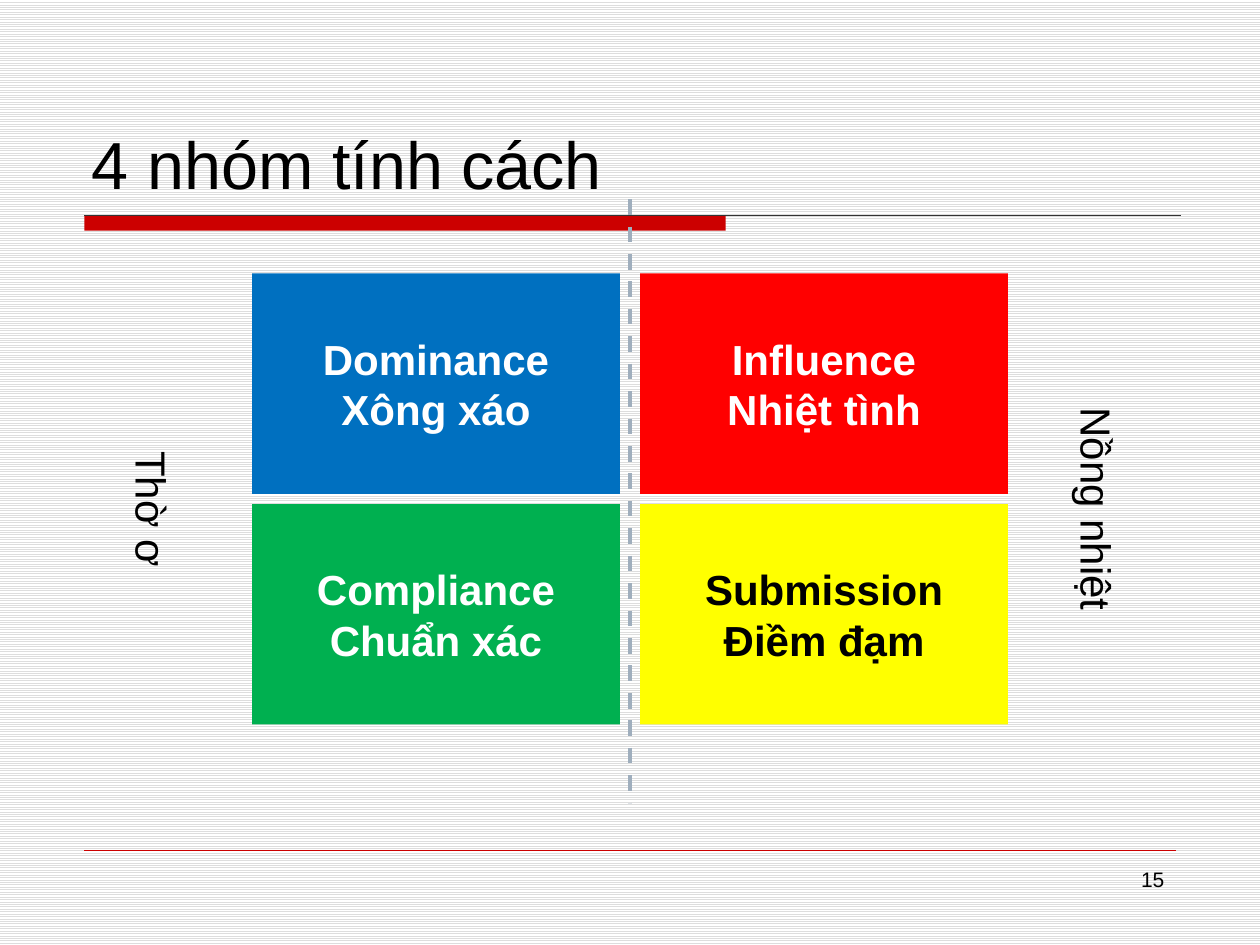
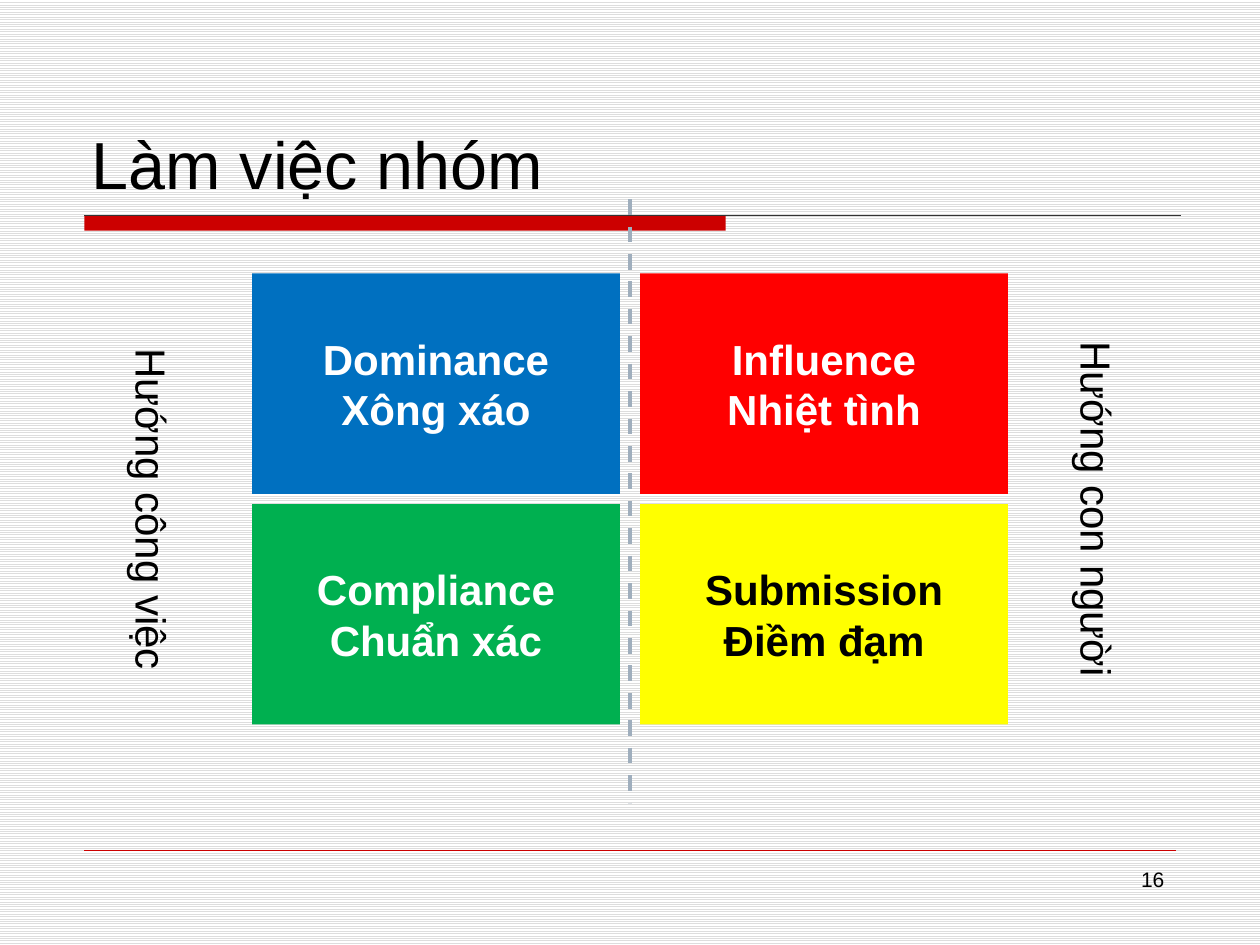
from lxml import etree
from pptx import Presentation
from pptx.dml.color import RGBColor
from pptx.enum import dml, shapes, text
from pptx.oxml.ns import qn
from pptx.util import Inches, Pt

FONT = "Arial"
BLACK = RGBColor(0x00, 0x00, 0x00)
WHITE = RGBColor(0xFF, 0xFF, 0xFF)
STRIPE = RGBColor(0xDD, 0xDD, 0xDD)
ACCENT = RGBColor(0xCC, 0x00, 0x00)
RULE = RGBColor(0x33, 0x33, 0x33)
DIVIDER = RGBColor(0x9F, 0xAE, 0xBD)
BLUE = RGBColor(0x00, 0x70, 0xC0)
RED = RGBColor(0xFF, 0x00, 0x00)
GREEN = RGBColor(0x00, 0xB0, 0x50)
YELLOW = RGBColor(0xFF, 0xFF, 0x00)

GRID_LEFT, GRID_TOP = 2, 2.17
CELL_WIDTH, CELL_HEIGHT = 2.92, 1.75
COLUMN_STEP, ROW_STEP = 3.08, 1.83
LABEL_WIDTH, LABEL_HEIGHT = 2.92, 0.58
LABEL_TOP = 3.75
LEFT_LABEL, RIGHT_LABEL = -0.25, 7.25

# Rows of the grid: name, Vietnamese name, fill, font colour
GROUPS = [
    [("Dominance", "Xông xáo", BLUE, WHITE),
     ("Influence", "Nhiệt tình", RED, WHITE)],
    [("Compliance", "Chuẩn xác", GREEN, WHITE),
     ("Submission", "Điềm đạm", YELLOW, BLACK)],
]

# Title, page number, label left of the grid, label right of it
SLIDES = [
    ("4 nhóm tính cách", 15, "Thờ ơ", "Nồng nhiệt"),
    ("Làm việc nhóm", 16, "Hướng công việc", "Hướng con người"),
]


def write(shape, lines, size, color=BLACK, bold=False,
          align=text.PP_ALIGN.CENTER, anchor=text.MSO_ANCHOR.MIDDLE):
    """Fill a shape with one paragraph for each line."""
    frame = shape.text_frame
    frame.word_wrap = True
    frame.auto_size = text.MSO_AUTO_SIZE.NONE
    frame.vertical_anchor = anchor
    for index, line in enumerate(lines):
        para = frame.add_paragraph() if index else frame.paragraphs[0]
        para.alignment = align
        span = para.add_run()
        span.text = line
        span.font.name = FONT
        span.font.size = Pt(size)
        span.font.bold = bold
        span.font.color.rgb = color


def add_box(page, left, top, width, height, fill):
    box = page.shapes.add_shape(shapes.MSO_SHAPE.RECTANGLE, Inches(left),
                                Inches(top), Inches(width), Inches(height))
    box.shadow.inherit = False
    box.fill.solid()
    box.fill.fore_color.rgb = fill
    box.line.fill.background()
    return box


def add_line(page, start, end, color, width):
    line = page.shapes.add_connector(
        shapes.MSO_CONNECTOR.STRAIGHT, *map(Inches, start + end))
    line.line.color.rgb = color
    line.line.width = Pt(width)
    etree.SubElement(line._element.spPr, qn("a:effectLst"))
    return line


def add_text_box(page, left, top, width, height):
    return page.shapes.add_textbox(Inches(left), Inches(top),
                                   Inches(width), Inches(height))


def set_background(deck):
    fill = deck.slide_master.background.fill
    fill.patterned()
    fill.pattern = dml.MSO_PATTERN.LIGHT_HORIZONTAL
    fill.fore_color.rgb = STRIPE
    fill.back_color.rgb = WHITE


def add_page(deck, title, number):
    """Add a slide with its title, bands and page number."""
    page = deck.slides.add_slide(deck.slide_layouts[5])
    heading = page.shapes.title
    heading.left, heading.top = Inches(0.63), Inches(0.33)
    heading.width, heading.height = Inches(8.75), Inches(1.33)
    write(heading, [title], 38, align=text.PP_ALIGN.LEFT,
          anchor=text.MSO_ANCHOR.BOTTOM)
    add_box(page, 0.67, 1.71, 5.09, 0.12, ACCENT)
    add_line(page, (0.67, 1.71), (9.37, 1.71), RULE, 0.75)
    add_line(page, (0.67, 6.75), (9.33, 6.75), ACCENT, 0.25)
    write(add_text_box(page, 7.17, 6.83, 2.17, 0.52), [str(number)], 12,
          align=text.PP_ALIGN.RIGHT, anchor=text.MSO_ANCHOR.TOP)
    return page


def add_group_grid(page):
    for row, groups in enumerate(GROUPS):
        for column, (name, local_name, fill, color) in enumerate(groups):
            box = add_box(page, GRID_LEFT + column * COLUMN_STEP,
                          GRID_TOP + row * ROW_STEP,
                          CELL_WIDTH, CELL_HEIGHT, fill)
            write(box, [name, local_name], 24, color, bold=True)
    divider = add_line(page, (5, 1.58), (5, 6.37), DIVIDER, 2.25)
    divider.line.dash_style = dml.MSO_LINE.DASH


def add_side_label(page, left, label):
    box = add_text_box(page, left, LABEL_TOP, LABEL_WIDTH, LABEL_HEIGHT)
    box.rotation = 90
    write(box, [label], 24)


def main():
    deck = Presentation()
    deck.slide_width, deck.slide_height = Inches(10), Inches(7.5)
    set_background(deck)
    for title, number, left_label, right_label in SLIDES:
        page = add_page(deck, title, number)
        add_group_grid(page)
        add_side_label(page, LEFT_LABEL, left_label)
        add_side_label(page, RIGHT_LABEL, right_label)
    deck.save("out.pptx")


if __name__ == "__main__":
    main()
